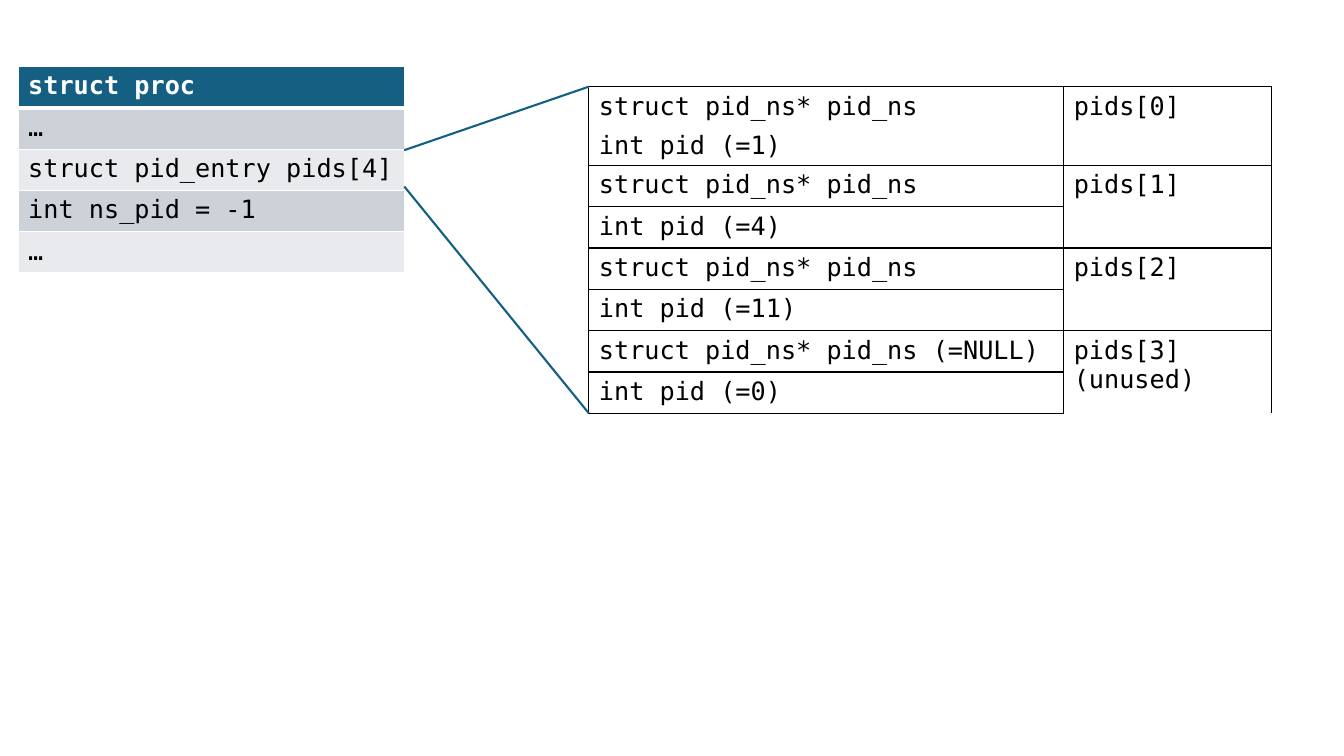
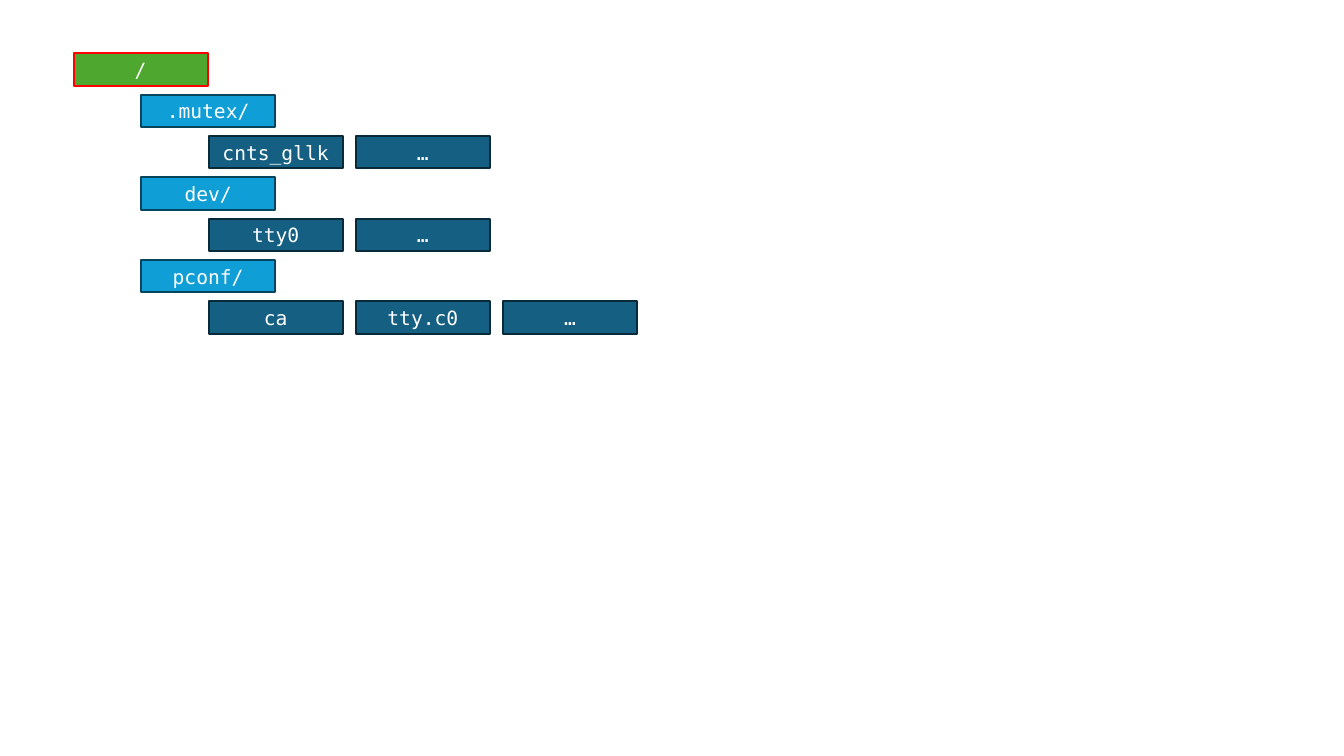
from lxml.etree import SubElement
from pptx import Presentation
from pptx.dml.color import RGBColor
from pptx.enum.shapes import MSO_CONNECTOR, MSO_SHAPE
from pptx.enum.text import MSO_ANCHOR, PP_ALIGN
from pptx.oxml.ns import qn
from pptx.util import Inches, Pt

COLORS = {
    "white": "FFFFFF", "black": "000000", "navy": "156082", "navy_edge": "092A39",
    "blue": "0F9ED5", "blue_edge": "07455D", "green": "4EA72E", "red": "FF0000",
    "band_dark": "CCD2D8", "band_light": "E8EAED",
}
FONT = "DejaVu Sans Mono"


def write_text(text_frame, text, size, color, bold=False):
    text_frame.text = text
    font_format = {"name": FONT, "size": Pt(size), "bold": bold}
    for paragraph in text_frame.paragraphs:
        for run in paragraph.runs:
            for name, value in font_format.items():
                setattr(run.font, name, value)
            run.font.color.rgb = RGBColor.from_string(COLORS[color])


def set_borders(cell, color, widths):
    """Draw the edges in order L, R, T, B; a width of 0 hides an edge."""
    properties = cell._tc.get_or_add_tcPr()
    for edge, width in zip("LRTB", widths):
        line = SubElement(properties, qn(f"a:ln{edge}"), w=str(Pt(width)))
        if width:
            fill = SubElement(line, qn("a:solidFill"))
            SubElement(fill, qn("a:srgbClr"), val=COLORS[color])
        else:
            SubElement(line, qn("a:noFill"))


presentation = Presentation()
presentation.slide_width = Inches(13.33)
presentation.slide_height = Inches(7.5)
blank_layout = presentation.slide_layouts[6]

# Slide 1: process structure and its pid entries
slide = presentation.slides.add_slide(blank_layout)

# Process structure table
proc_fields = ["struct proc", "…", "struct pid_entry pids[4]", "int ns_pid = -1", "…"]
proc_table = slide.shapes.add_table(
    len(proc_fields), 1, Inches(0.18), Inches(0.66), Inches(3.83), Inches(2.03)).table
for index, field in enumerate(proc_fields):
    proc_table.rows[index].height = Inches(0.41)
    cell = proc_table.cell(index, 0)
    is_header = index == 0
    write_text(cell.text_frame, field, 18, "white" if is_header else "black", is_header)
    set_borders(cell, "white", (1, 1, 3 if index == 1 else 1, 3 if is_header else 1))
    band = "navy" if is_header else ("band_light", "band_dark")[index % 2]
    cell.fill.solid()
    cell.fill.fore_color.rgb = RGBColor.from_string(COLORS[band])

# Pid entries table: two rows per entry, label merged over both
entries = [
    ("struct pid_ns* pid_ns", "int pid (=1)", "pids[0]"),
    ("struct pid_ns* pid_ns", "int pid (=4)", "pids[1]"),
    ("struct pid_ns* pid_ns", "int pid (=11)", "pids[2]"),
    ("struct pid_ns* pid_ns (=NULL)", "int pid (=0)", "pids[3]\v(unused)"),
]
entry_table = slide.shapes.add_table(
    2 * len(entries), 2, Inches(5.84), Inches(0.86), Inches(6.77), Inches(3.24)).table
entry_table.first_row = False
entry_table.horz_banding = False
for column, width in zip(entry_table.columns, (4.71, 2.06)):
    column.width = Inches(width)
for index, (namespace, pid, label) in enumerate(entries):
    top = 2 * index
    inner_width = 0 if index == 0 else 1
    for offset, field in enumerate((namespace, pid)):
        row = top + offset
        entry_table.rows[row].height = Inches(0.39 if index == 0 else 0.41)
        field_cell, label_cell = entry_table.cell(row, 0), entry_table.cell(row, 1)
        write_text(field_cell.text_frame, field, 18, "black")
        edges = (1, inner_width) if offset == 0 else (inner_width, 1)
        set_borders(field_cell, "black", (1, 1, *edges))
        set_borders(label_cell, "black", (1, 1, 1 - offset, offset))
        field_cell.fill.background()
        label_cell.fill.background()
    label_cell = entry_table.cell(top, 1)
    label_cell.merge(entry_table.cell(top + 1, 1))
    write_text(label_cell.text_frame, label, 18, "black")

# Lines that expand the pids field into its entries
for start_y, end_y in ((1.49, 0.86), (1.85, 4.1)):
    connector = slide.shapes.add_connector(
        MSO_CONNECTOR.STRAIGHT, Inches(4.01), Inches(start_y), Inches(5.84), Inches(end_y))
    connector.line.color.rgb = RGBColor.from_string(COLORS["navy"])
    connector.line.width = Pt(1.5)
    SubElement(connector._element.spPr, qn("a:effectLst"))

# Slide 2: file system tree
slide = presentation.slides.add_slide(blank_layout)
tree = slide.shapes.add_group_shape()
level_styles = [("green", "red"), ("blue", "blue_edge"), ("navy", "navy_edge")]
tree_rows = [
    (0, ["/"]),
    (1, [".mutex/"]),
    (2, ["cnts_gllk", "…"]),
    (1, ["dev/"]),
    (2, ["tty0", "…"]),
    (1, ["pconf/"]),
    (2, ["ca", "tty.c0", "…"]),
]
for row, (level, names) in enumerate(tree_rows):
    fill_color, line_color = level_styles[level]
    for column, name in enumerate(names):
        shape = tree.shapes.add_shape(
            MSO_SHAPE.RECTANGLE,
            Inches(0.73 + 0.67 * level + 1.46 * column), Inches(0.53 + 0.41 * row),
            Inches(1.33), Inches(0.32))
        shape.shadow.inherit = False
        shape.fill.solid()
        shape.fill.fore_color.rgb = RGBColor.from_string(COLORS[fill_color])
        shape.line.color.rgb = RGBColor.from_string(COLORS[line_color])
        shape.line.width = Pt(1.5)
        write_text(shape.text_frame, name, 14, "white")
        shape.text_frame.vertical_anchor = MSO_ANCHOR.MIDDLE
        shape.text_frame.paragraphs[0].alignment = PP_ALIGN.CENTER

presentation.save("out.pptx")
